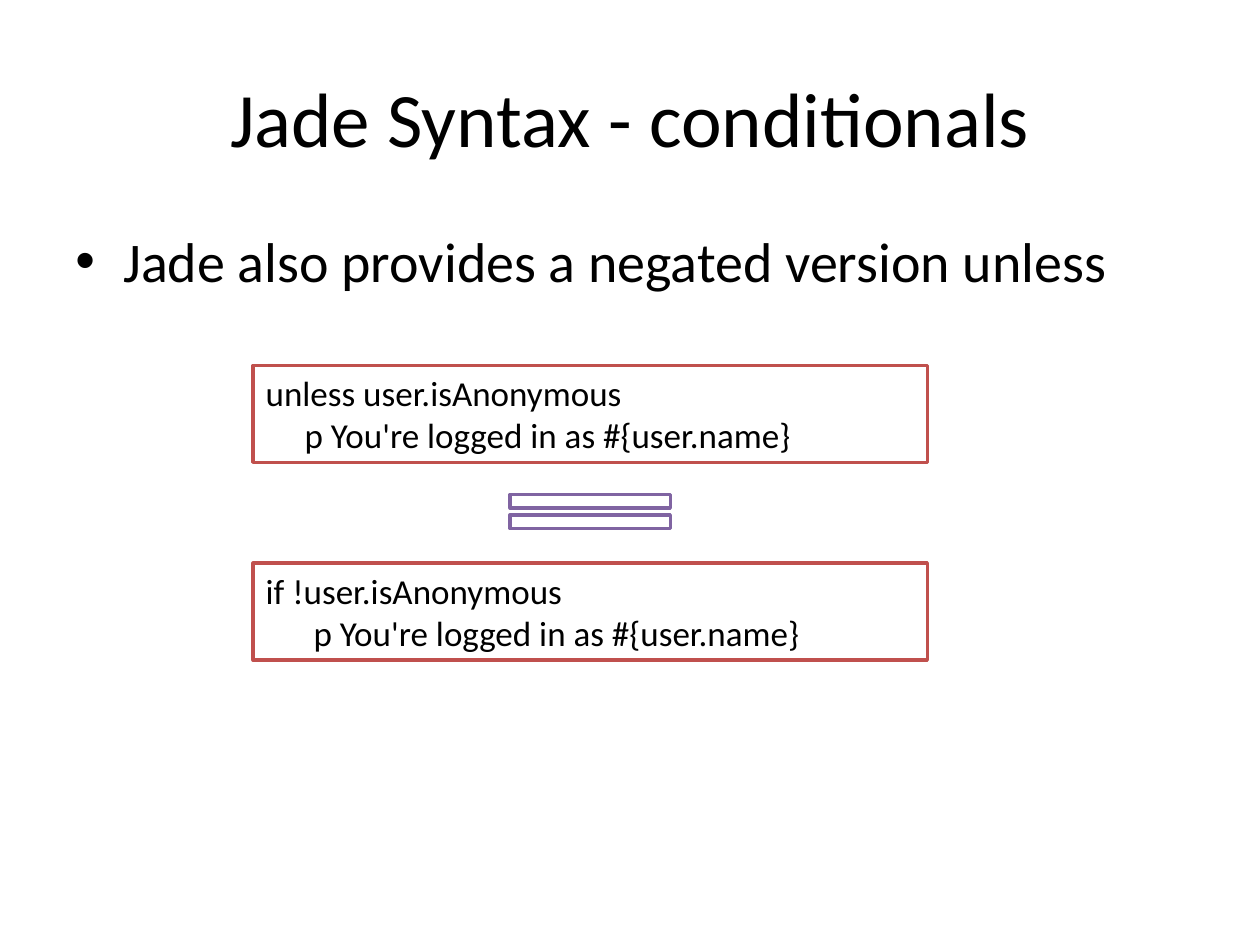
from pptx import Presentation
from pptx.dml.color import RGBColor
from pptx.enum.shapes import MSO_SHAPE as Shape
from pptx.enum.text import MSO_ANCHOR as Anchor, PP_ALIGN as Align
from pptx.util import Inches, Pt
from lxml import etree

BLACK = RGBColor(0, 0, 0)
WHITE = RGBColor(255, 255, 255)
RED = RGBColor(0xC0, 0x50, 0x4D)
PURPLE = RGBColor(0x80, 0x64, 0xA2)
NS = "{http://schemas.openxmlformats.org/drawingml/2006/main}"

# Content
TITLE = "Jade Syntax - conditionals"
POINT = "Jade also provides a negated version unless"
SAID = "p You're logged in as #{user.name}"
CODES = [  # top, condition, indent of the second line
    (2.9, "unless user.isAnonymous", 0.31),
    (4.47, "if !user.isAnonymous", 0.38),
]

deck = Presentation()
deck.slide_width, deck.slide_height = Inches(10), Inches(7.5)
slide = deck.slides.add_slide(deck.slide_layouts[6])


def write(shape, lines, size=20, align=Align.LEFT, anchor=Anchor.TOP,
          indents=(0,), bullet=False):
    frame = shape.text_frame
    frame.word_wrap = True
    frame.vertical_anchor = anchor
    frame.text = "\n".join(lines)
    for para, indent in zip(frame.paragraphs, indents):
        para.alignment = align
        font = para.runs[0].font
        font.name, font.size, font.color.rgb = "Calibri", Pt(size), BLACK
        props = para._p.get_or_add_pPr()
        props.set("marL", str(Inches(indent)))
        if bullet:
            props.set("indent", str(-Inches(indent)))
            etree.SubElement(props, NS + "buFont", typeface="Arial")
            etree.SubElement(props, NS + "buChar", char="•")


def text_box(*place):
    return slide.shapes.add_textbox(*map(Inches, place))


def outline(kind, color, *place):
    shape = slide.shapes.add_shape(kind, *map(Inches, place))
    shape.shadow.inherit = False
    shape.fill.solid()
    shape.fill.fore_color.rgb = WHITE
    shape.line.color.rgb = color
    shape.line.width = Pt(2)
    return shape


# Title and bullet
write(text_box(0.5, 0.3, 9, 1.25), [TITLE], size=44,
      align=Align.CENTER, anchor=Anchor.MIDDLE)
write(text_box(0.5, 1.75, 9, 4.95), [POINT], size=32,
      indents=[0.38], bullet=True)

# Equivalent code boxes
for top, test, indent in CODES:
    box = outline(Shape.RECTANGLE, RED, 2.01, top, 5.35, 0.77)
    write(box, [test, SAID], indents=[0, indent])

# Equal sign
outline(Shape.MATH_EQUAL, PURPLE, 3.82, 3.83, 1.73, 0.46)

deck.save("out.pptx")
